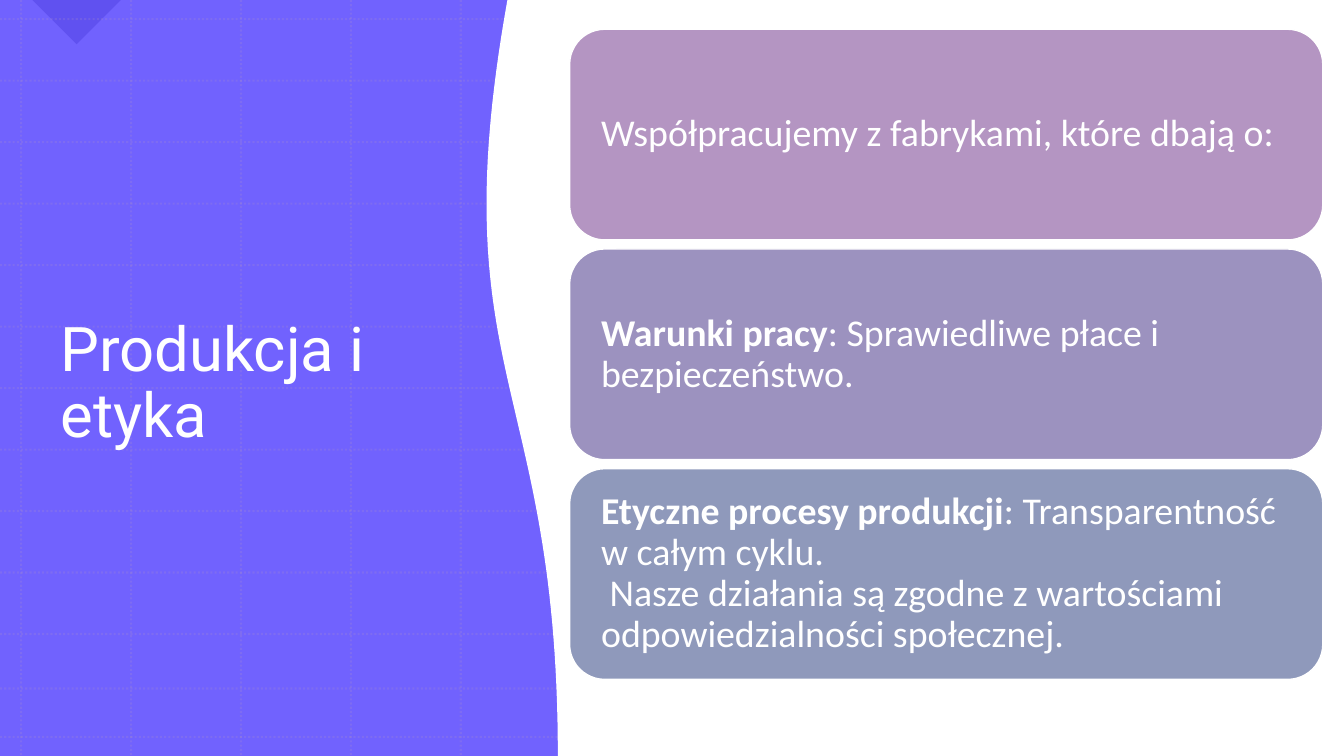
from lxml.etree import SubElement
from pptx import Presentation
from pptx.dml.color import RGBColor
from pptx.enum.dml import MSO_LINE
from pptx.enum.shapes import MSO_CONNECTOR, MSO_SHAPE
from pptx.enum.text import MSO_ANCHOR, MSO_AUTO_SIZE, PP_ALIGN
from pptx.oxml.ns import qn
from pptx.util import Inches, Pt

WHITE = RGBColor(0xFF, 0xFF, 0xFF)
VIOLET = RGBColor(0x71, 0x62, 0xFE)
NAVY = RGBColor(0x12, 0x01, 0xAF)
MAUVE = RGBColor(0xB4, 0x95, 0xC2)
LILAC = RGBColor(0x9C, 0x92, 0xBF)
SLATE = RGBColor(0x8F, 0x99, 0xBB)

WIDTH, HEIGHT = 13.33, 7.5
COLUMNS = [0.21 + 1.09 * i for i in range(5)]
ROWS = [0.19 + 0.61 * i for i in range(11)] + [6.83, 7.31]
WAVE = [(5.54, 7.5), (5.54, 3.76), (4.37, 3.74), (5.04, 0)]
WAVE_STEPS = 60
CARD_TOP, CARD_STEP = 0.29, 2.18
CARDS = [
    (MAUVE, [[("Współpracujemy z fabrykami, które dbają o:", False)]]),
    (LILAC, [[("Warunki pracy", True),
              (": Sprawiedliwe płace i bezpieczeństwo.", False)]]),
    (SLATE, [[("Etyczne procesy produkcji", True),
              (": Transparentność w całym cyklu.", False)],
             [(" Nasze działania są zgodne z wartościami "
               "odpowiedzialności społecznej.", False)]]),
]


def set_format(target, values):
    """Set each attribute named in values on the target."""
    for name, value in values.items():
        setattr(target, name, value)


def set_opacity(fill, percent):
    """Make a solid fill partly transparent."""
    for color in fill._xPr.iter(qn("a:srgbClr")):
        SubElement(color, qn("a:alpha"), val=str(percent * 1000))


def paint(sp, color, outline=None):
    """Give a shape a flat fill and an optional one-point outline."""
    sp.shadow.inherit = False
    sp.fill.solid()
    sp.fill.fore_color.rgb = color
    if outline is None:
        sp.line.fill.background()
    else:
        sp.line.color.rgb = outline
        sp.line.width = Pt(1)


def add_block(s, kind, box, color, outline=None):
    """Add a painted preset shape."""
    sp = s.shapes.add_shape(kind, *map(Inches, box))
    paint(sp, color, outline)
    return sp


def add_grid_line(s, x1, y1, x2, y2):
    """Add one faint dotted line of the grid."""
    line = s.shapes.add_connector(MSO_CONNECTOR.STRAIGHT, *map(Inches, (x1, y1, x2, y2)))
    line.line.color.rgb = MAUVE
    set_format(line.line, {"width": Pt(1.5), "dash_style": MSO_LINE.ROUND_DOT})
    set_opacity(line.line.fill, 20)
    SubElement(line.element.spPr, qn("a:effectLst"))


def wave_point(t):
    """Return the point of the cubic wave at t."""
    weights = ((1 - t) ** 3, 3 * t * (1 - t) ** 2, 3 * t * t * (1 - t), t ** 3)
    return tuple(Inches(sum(w * pt[axis] for w, pt in zip(weights, WAVE)))
                 for axis in (0, 1))


def add_wave_panel(s):
    """Add the white panel with a wavy left edge."""
    points = [wave_point(i / WAVE_STEPS) for i in range(WAVE_STEPS + 1)]
    points += [(Inches(WIDTH), 0), (Inches(WIDTH), Inches(HEIGHT))]
    builder = s.shapes.build_freeform(*points[0])
    builder.add_line_segments(points[1:], close=True)
    paint(builder.convert_to_shape(), WHITE, WHITE)


def add_run(p, text, size, font, bold=False):
    """Add a white run to a paragraph."""
    r = p.add_run()
    r.text = text
    set_format(r.font, {"size": Pt(size), "name": font, "bold": bold})
    r.font.color.rgb = WHITE


def format_text(tf):
    """Set up a left-aligned, middle-anchored frame and return its paragraph."""
    set_format(tf, {"word_wrap": True, "auto_size": MSO_AUTO_SIZE.NONE,
                    "vertical_anchor": MSO_ANCHOR.MIDDLE})
    p = tf.paragraphs[0]
    set_format(p, {"alignment": PP_ALIGN.LEFT, "line_spacing": 0.9})
    return p


def add_title(s):
    """Format the title and bring it in front of the grid."""
    title = s.shapes.title
    set_format(title, {"left": Inches(0.5), "top": Inches(0.79),
                       "width": Inches(4.08), "height": Inches(6.05)})
    add_run(format_text(title.text_frame), "Produkcja i etyka", 44, "Roboto")
    s.shapes[-1].element.addnext(title.element)


def add_card(s, top, color, lines):
    """Add a rounded card with its lines of text."""
    sp = add_block(s, MSO_SHAPE.ROUNDED_RECTANGLE, (5.65, top, 7.47, 2.09), color, WHITE)
    tf = sp.text_frame
    set_format(tf, {f"margin_{side}": Inches(0.21)
                    for side in ("left", "right", "top", "bottom")})
    p = format_text(tf)
    for i, line in enumerate(lines):
        if i:
            p.add_line_break()
        for text, bold in line:
            add_run(p, text, 27, "Calibri", bold)


def main():
    """Build the slide and save it."""
    prs = Presentation()
    set_format(prs, {"slide_width": Inches(WIDTH), "slide_height": Inches(HEIGHT)})
    s = prs.slides.add_slide(prs.slide_layouts[5])
    add_block(s, MSO_SHAPE.RECTANGLE, (0, 0, WIDTH, HEIGHT), VIOLET)
    corner = add_block(s, MSO_SHAPE.RIGHT_TRIANGLE, (0.45, -0.31, 0.62, 0.62), NAVY)
    corner.rotation = 315
    set_opacity(corner.fill, 17)
    for x in COLUMNS:
        add_grid_line(s, x, 0, x, HEIGHT)
    for y in ROWS:
        add_grid_line(s, 0, y, WIDTH, y)
    add_title(s)
    add_wave_panel(s)
    for i, (color, lines) in enumerate(CARDS):
        add_card(s, CARD_TOP + CARD_STEP * i, color, lines)
    prs.save("out.pptx")


if __name__ == "__main__":
    main()
